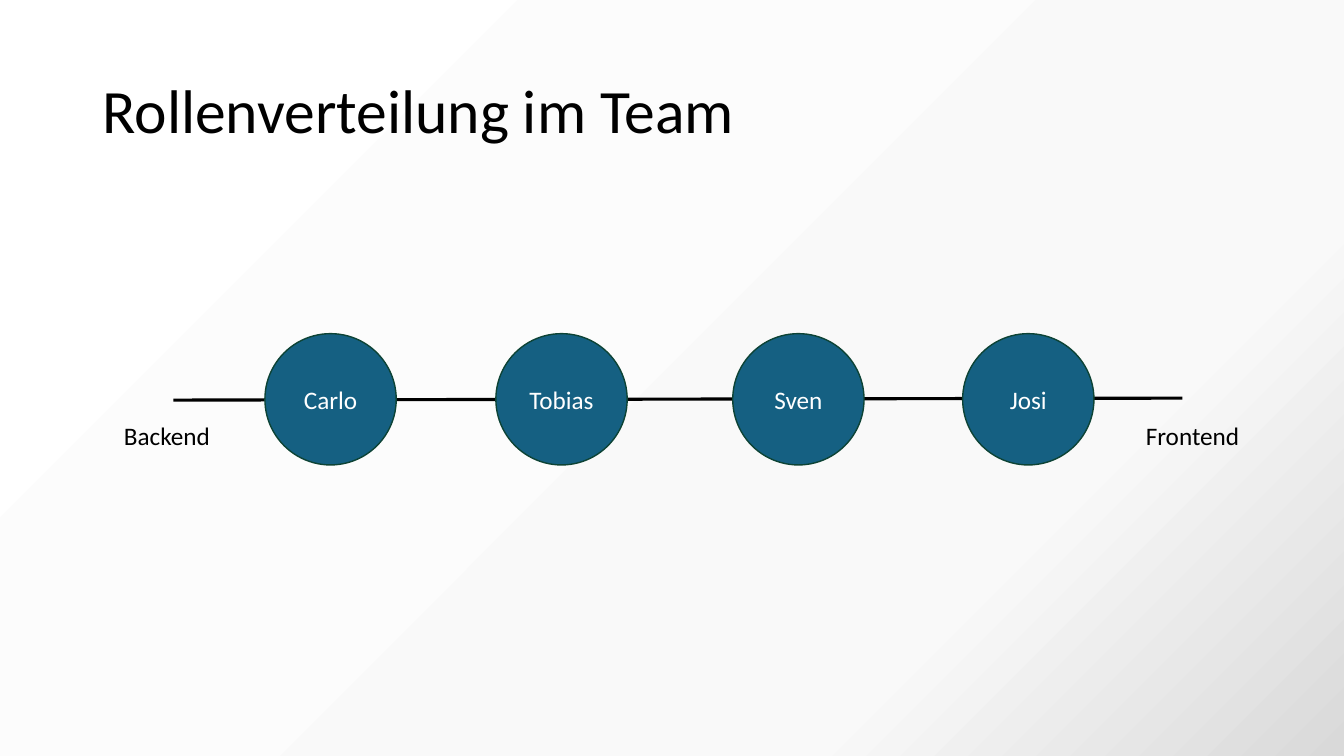
from copy import deepcopy

from pptx import Presentation
from pptx.dml.color import RGBColor
from pptx.enum.shapes import MSO_CONNECTOR, MSO_SHAPE
from pptx.enum.text import MSO_ANCHOR, MSO_AUTO_SIZE, PP_ALIGN
from pptx.oxml.ns import qn
from pptx.util import Pt

BLACK = RGBColor(0x00, 0x00, 0x00)
WHITE = RGBColor(0xFF, 0xFF, 0xFF)
BLUE = RGBColor(0x15, 0x60, 0x82)
DARK_GREEN = RGBColor(0x0D, 0x43, 0x35)
LIGHT_GRAY = RGBColor(0xF9, 0xF9, 0xF9)
GRAY = RGBColor(0xD9, 0xD9, 0xD9)


def write(tf, text, size=18, color=BLACK, align=PP_ALIGN.LEFT,
          anchor=MSO_ANCHOR.TOP, spacing=None):
    tf.word_wrap = True
    tf.auto_size = MSO_AUTO_SIZE.NONE
    tf.vertical_anchor = anchor
    p = tf.paragraphs[0]
    p.alignment = align
    p.line_spacing = spacing
    r = p.add_run()
    r.text = text
    r.font.name = "Calibri"
    r.font.size = Pt(size)
    r.font.color.rgb = color


prs = Presentation()
prs.slide_width, prs.slide_height = Pt(960), Pt(540)
s = prs.slides.add_slide(prs.slide_layouts[5])

# Background gradient with three stops
fill = s.background.fill
fill.gradient()
fill.gradient_angle = 315
stop_list = s.element.xpath(".//a:gsLst")[0]
stop_list.append(deepcopy(stop_list[-1]))
stops = [(0, WHITE), (0.74, LIGHT_GRAY), (1, GRAY)]
for stop, (position, color) in zip(fill.gradient_stops, stops):
    stop.position = position
    stop.color.rgb = color

# Title
title = s.shapes.title
title.left, title.top, title.width, title.height = Pt(66), Pt(28.8), Pt(828), Pt(104.4)
write(title.text_frame, "Rollenverteilung im Team", size=44,
      anchor=MSO_ANCHOR.MIDDLE, spacing=0.9)

# Axis from backend to frontend
axis = s.shapes.add_connector(MSO_CONNECTOR.STRAIGHT, Pt(123.8), Pt(285.8),
                              Pt(844.6), Pt(284.4))
axis.line.color.rgb = BLACK
axis.line.width = Pt(2.25)
sp_pr = axis._element.spPr
sp_pr.append(sp_pr.makeelement(qn("a:effectLst"), {}))

# Axis labels
for text, left, width in [("Backend", 81.4, 216), ("Frontend", 811.4, 115.2)]:
    label = s.shapes.add_textbox(Pt(left), Pt(296.6), Pt(width), Pt(29))
    write(label.text_frame, text)

# Team members
for name, left in [("Carlo", 189.2), ("Tobias", 354.2), ("Sven", 523.4), ("Josi", 687.6)]:
    sp = s.shapes.add_shape(MSO_SHAPE.OVAL, Pt(left), Pt(238.3), Pt(93.8), Pt(93.8))
    sp.shadow.inherit = False
    sp.fill.solid()
    sp.fill.fore_color.rgb = BLUE
    sp.line.color.rgb = DARK_GREEN
    sp.line.width = Pt(1)
    write(sp.text_frame, name, color=WHITE, align=PP_ALIGN.CENTER,
          anchor=MSO_ANCHOR.MIDDLE)

prs.save("out.pptx")
